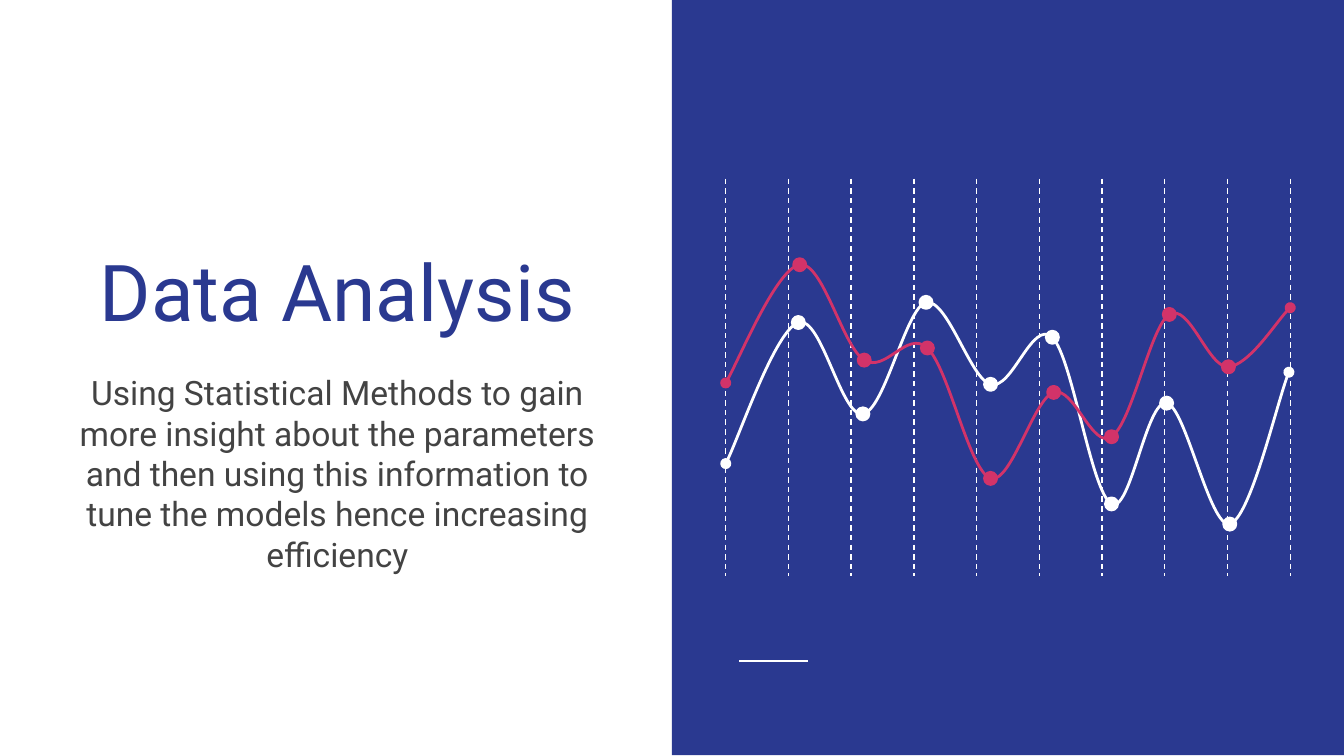
from dataclasses import dataclass

from lxml.etree import SubElement
from pptx import Presentation
from pptx.dml.color import RGBColor
from pptx.enum.dml import MSO_LINE
from pptx.enum.shapes import MSO_CONNECTOR as Connector, MSO_SHAPE as Preset
from pptx.enum.text import MSO_ANCHOR as Anchor, MSO_AUTO_SIZE as AutoSize, PP_ALIGN as Align
from pptx.oxml.ns import qn
from pptx.util import Cm, Pt


@dataclass(frozen=True)
class Theme:
    blue: RGBColor = RGBColor(0x2A, 0x39, 0x90)
    pink: RGBColor = RGBColor(0xD2, 0x33, 0x69)
    white: RGBColor = RGBColor(0xFF, 0xFF, 0xFF)
    grey: RGBColor = RGBColor(0x43, 0x43, 0x43)
    font: str = "Roboto"
    title_size: Pt = Pt(42)
    body_size: Pt = Pt(18)
    grid_width: Pt = Pt(0.75)
    line_width: Pt = Pt(1.5)


THEME = Theme()
SUBTITLE = (
    "Using Statistical Methods to gain more insight about the parameters and then "
    "using this information to tune the models hence increasing efficiency"
)
DOT_SIZE = 0.09

# Curves in inches: a start point, then two control points and an end per piece
WHITE_CURVE = [
    (5.4, 3.45),
    (5.49, 3.28), (5.77, 2.46), (5.94, 2.4),
    (6.11, 2.34), (6.26, 3.11), (6.42, 3.08),
    (6.58, 3.06), (6.74, 2.29), (6.89, 2.25),
    (7.05, 2.22), (7.22, 2.82), (7.37, 2.86),
    (7.53, 2.91), (7.68, 2.37), (7.83, 2.51),
    (7.98, 2.66), (8.12, 3.67), (8.27, 3.75),
    (8.41, 3.83), (8.53, 2.97), (8.68, 3),
    (8.82, 3.02), (9, 3.93), (9.15, 3.9),
    (9.3, 3.86), (9.51, 2.96), (9.59, 2.77),
]
PINK_CURVE = [
    (5.4, 2.85),
    (5.49, 2.7), (5.78, 2), (5.95, 1.97),
    (6.12, 1.94), (6.27, 2.58), (6.43, 2.68),
    (6.59, 2.78), (6.75, 2.45), (6.9, 2.59),
    (7.06, 2.74), (7.21, 3.5), (7.37, 3.56),
    (7.52, 3.61), (7.69, 2.97), (7.84, 2.92),
    (7.99, 2.87), (8.13, 3.35), (8.27, 3.25),
    (8.42, 3.16), (8.56, 2.43), (8.7, 2.34),
    (8.85, 2.25), (8.99, 2.74), (9.14, 2.73),
    (9.29, 2.72), (9.52, 2.36), (9.6, 2.29),
]


def inch(value):
    return Cm(2.54 * value)


def add_filled(shapes, preset, place, color, line_width=None):
    shape = shapes.add_shape(preset, *map(inch, place))
    shape.shadow.inherit = False
    shape.fill.solid()
    shape.fill.fore_color.rgb = color
    if line_width:
        shape.line.color.rgb = color
        shape.line.width = line_width
    else:
        shape.line.fill.background()


def add_line(shapes, start, end, width, dash=None):
    line = shapes.add_connector(Connector.STRAIGHT, *map(inch, (*start, *end)))
    line.line.color.rgb = THEME.white
    line.line.width = width
    if dash:
        line.line.dash_style = dash
    SubElement(line._element.spPr, qn("a:effectLst"))


def add_curve(shapes, points, color):
    start, *rest = [(inch(x), inch(y)) for x, y in points]
    builder = shapes.build_freeform(*start)
    builder.add_line_segments(rest, close=False)
    curve = builder.convert_to_shape()
    curve.shadow.inherit = False
    curve.fill.background()
    curve.line.color.rgb = color
    curve.line.width = THEME.line_width

    # Turn each three straight segments into one Bezier piece
    outline = next(curve._element.iter(qn("a:path")))
    segments = outline.findall(qn("a:lnTo"))
    for index in range(0, len(segments), 3):
        piece = SubElement(outline, qn("a:cubicBezTo"))
        for segment in segments[index:index + 3]:
            piece.append(segment[0])
            outline.remove(segment)

    # Round markers at both ends
    stroke = curve._element.spPr.find(qn("a:ln"))
    for end in ("a:headEnd", "a:tailEnd"):
        SubElement(stroke, qn(end), type="oval")


def add_series(slide, points, color):
    shapes = slide.shapes.add_group_shape().shapes
    add_curve(shapes, points, color)
    for x, y in points[3:-1:3]:
        place = (x - DOT_SIZE / 2, y - DOT_SIZE / 2, DOT_SIZE, DOT_SIZE)
        add_filled(shapes, Preset.OVAL, place, color, THEME.line_width)


def write_text(box, place, text, size, color, anchor):
    box.left, box.top, box.width, box.height = map(inch, place)
    frame = box.text_frame
    frame.word_wrap = True
    frame.auto_size = AutoSize.NONE
    frame.vertical_anchor = anchor
    frame.margin_left = frame.margin_right = inch(0.1)
    frame.margin_top = frame.margin_bottom = inch(0.1)
    para = frame.paragraphs[0]
    para.alignment = Align.CENTER
    para.line_spacing = 1.0
    span = para.add_run()
    span.text = text
    span.font.name = THEME.font
    span.font.size = size
    span.font.color.rgb = color


def main():
    deck = Presentation()
    deck.slide_width, deck.slide_height = Cm(25.4), Cm(14.29)
    page = deck.slides.add_slide(deck.slide_layouts[5])
    shapes = page.shapes

    # Right panel with its short rule
    add_filled(shapes, Preset.RECTANGLE, (5, 0, 5, 5.62), THEME.blue)
    add_line(shapes, (5.5, 4.92), (6.01, 4.92), THEME.line_width)

    # Evenly spaced dashed grid
    grid = shapes.add_group_shape().shapes
    for index in range(10):
        x = 5.4 + index * 4.2 / 9
        add_line(grid, (x, 1.33), (x, 4.29), THEME.grid_width, MSO_LINE.DASH)

    # Title and subtitle
    write_text(shapes.title, (0.3, 0.9, 4.42, 1.71), "Data Analysis",
               THEME.title_size, THEME.blue, Anchor.BOTTOM)
    subtitle = shapes.add_textbox(0, 0, 0, 0)
    write_text(subtitle, (0.3, 2.67, 4.42, 1.39), SUBTITLE,
               THEME.body_size, THEME.grey, Anchor.TOP)

    # Two curves with their dots
    add_series(page, WHITE_CURVE, THEME.white)
    add_series(page, PINK_CURVE, THEME.pink)

    deck.save("out.pptx")


if __name__ == "__main__":
    main()
